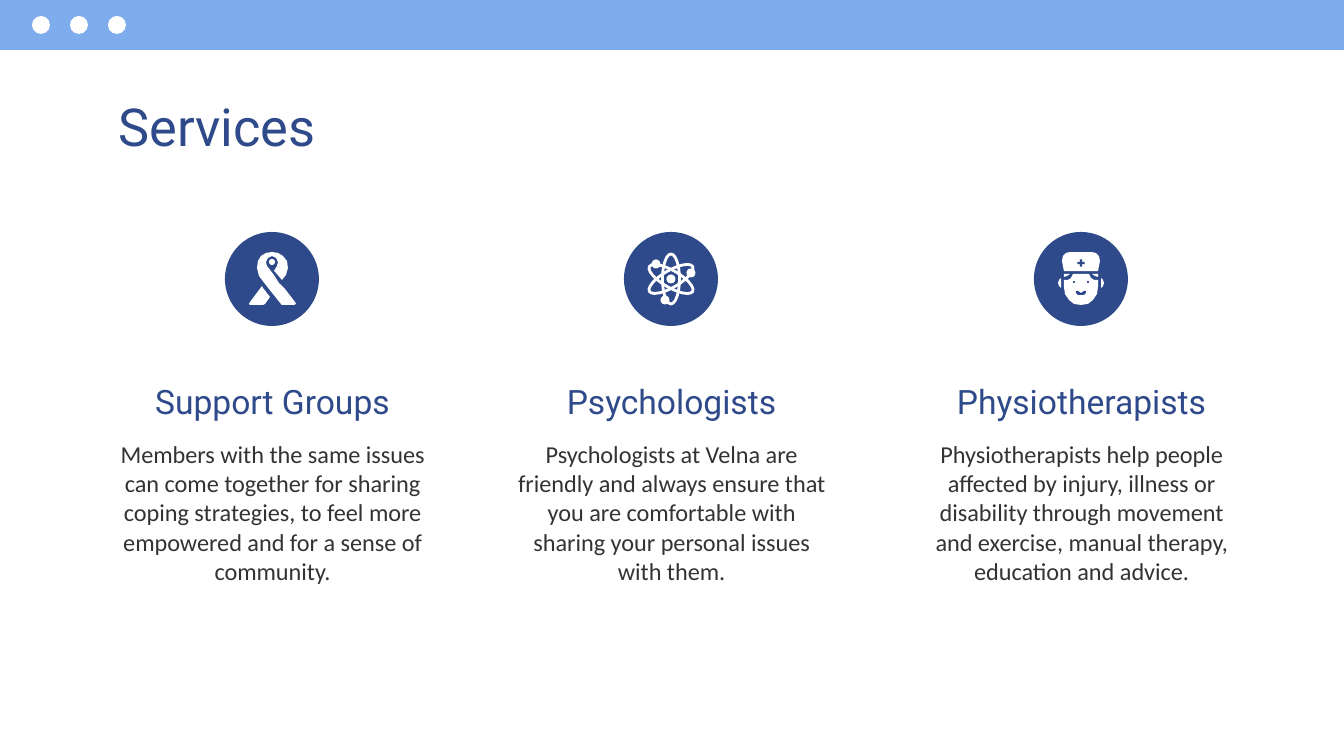
import pptx
import pptx.dml.color
import pptx.enum.shapes
import pptx.enum.text
import pptx.util

PX = 9144000 / 1344  # EMU in one px
SLIDE_WIDTH, SLIDE_HEIGHT = 1344, 756

SKY = pptx.dml.color.RGBColor(0x7E, 0xAC, 0xEC)
NAVY = pptx.dml.color.RGBColor(0x2F, 0x4A, 0x8A)
INK = pptx.dml.color.RGBColor(0x33, 0x33, 0x33)
WHITE = pptx.dml.color.RGBColor(0xFF, 0xFF, 0xFF)

PRESET = pptx.enum.shapes.MSO_SHAPE
ALIGN = pptx.enum.text.PP_ALIGN
COLUMN_WIDTH = 335
BADGE_SIZE, BADGE_Y = 94, 279

# Icon outlines are in px from the middle of the badge.
RIBBON_TAIL = [(-10, 7), (-22, 23), (-23, 25), (-22, 26), (-9, 26), (-7, 25),
               (-2, 18), (-9, 9)]
RIBBON_LOOP = [(0, -27), (-6, -26), (-11, -23), (-14, -18), (-15, -11),
               (-13, -3), (-7, 5), (9, 25), (10, 26), (22, 26), (24, 25),
               (23, 23), (13, 10), (7, 4), (2, -4), (-5, -13), (-6, -17),
               (-4, -21), (0, -23), (4, -21), (6, -17), (5, -13), (2, -8),
               (4, -6), (10, 1), (14, -4), (16, -11), (15, -18), (11, -23),
               (6, -26)]
CAP_HALF = [(-11, -27), (-15, -26), (-18, -23), (-19, -18), (-17, -8)]
FACE_HALF = [(-8, -5), (-10, -1), (-13, 1), (-17, 1), (-17, 8), (-16, 15),
             (-12, 21), (-7, 25), (0, 26)]
MOUTH_HALF = [(0, 14), (-3, 12), (-5, 12), (-5, 14), (-3, 16)]
HAIR = [(-17, -5), (-17, -2), (-14, -3), (-11, -5)]
EAR = [(-20, -1), (-22, 1), (-23, 4), (-22, 7), (-20, 9)]


def emu(px):
    return pptx.util.Emu(round(px * PX))


def paint(shape, color):
    shape.shadow.inherit = False
    shape.fill.solid()
    shape.fill.fore_color.rgb = color
    shape.line.fill.background()


def add_preset(slide, kind, center_x, center_y, width, height, color):
    """Add a filled preset shape placed by its middle."""
    shape = slide.shapes.add_shape(
        kind, emu(center_x - width / 2), emu(center_y - height / 2),
        emu(width), emu(height))
    paint(shape, color)
    return shape


def add_disc(slide, center_x, center_y, size, color):
    return add_preset(slide, PRESET.OVAL, center_x, center_y, size, size, color)


def add_outline(slide, center_x, points, color):
    """Add a closed polygon given in px from the middle of a badge."""
    corners = [(center_x + x, BADGE_Y + y) for x, y in points]
    builder = slide.shapes.build_freeform(*corners[0], scale=PX)
    builder.add_line_segments(corners[1:], close=True)
    paint(builder.convert_to_shape(), color)


def mirror(points):
    return [(-x, y) for x, y in points]


def symmetric(half):
    return half + mirror(half)[::-1]


def write_text(box, text, font, size, color, align):
    frame = box.text_frame
    frame.text = text
    frame.word_wrap = True
    frame.auto_size = pptx.enum.text.MSO_AUTO_SIZE.NONE
    frame.vertical_anchor = pptx.enum.text.MSO_ANCHOR.TOP
    frame.margin_left = frame.margin_right = pptx.util.Inches(0.1)
    frame.margin_top = frame.margin_bottom = pptx.util.Inches(0.1)
    para = frame.paragraphs[0]
    para.alignment = align
    para.line_spacing = 1.0
    para.space_before = pptx.util.Pt(0)
    span = para.runs[0]
    span.font.name = font
    span.font.size = pptx.util.Pt(size)
    span.font.color.rgb = color


def add_title(slide, text):
    title = slide.shapes.title
    title.left, title.top = emu(105), emu(81)
    title.width, title.height = emu(1134), emu(69)
    write_text(title, text, "Roboto", 28, NAVY, ALIGN.LEFT)


def add_window_bar(slide):
    add_preset(slide, PRESET.RECTANGLE, SLIDE_WIDTH / 2, 25, SLIDE_WIDTH, 50, SKY)
    for index in range(3):
        add_disc(slide, 41 + 38 * index, 25, 18, WHITE)


def draw_ribbon(slide, center_x):
    add_outline(slide, center_x, RIBBON_TAIL, WHITE)
    add_outline(slide, center_x, RIBBON_LOOP, WHITE)
    add_disc(slide, center_x, BADGE_Y - 17, 6, WHITE)


def draw_atom(slide, center_x):
    for angle in (0, 60, 120):
        orbit = add_preset(slide, PRESET.OVAL, center_x, BADGE_Y, 17, 50, WHITE)
        orbit.fill.background()
        orbit.line.color.rgb = WHITE
        orbit.line.width = pptx.util.Pt(1.5)
        orbit.rotation = angle
    add_disc(slide, center_x, BADGE_Y, 9, WHITE)
    for x, y in [(-15, -15), (20, -6), (-6, 21)]:
        add_disc(slide, center_x + x, BADGE_Y + y, 9, WHITE)


def draw_nurse(slide, center_x):
    for half in (CAP_HALF, FACE_HALF):
        add_outline(slide, center_x, symmetric(half), WHITE)
    for side in (HAIR, EAR):
        add_outline(slide, center_x, side, WHITE)
        add_outline(slide, center_x, mirror(side), WHITE)
    add_preset(slide, PRESET.MATH_PLUS, center_x, BADGE_Y - 16, 10, 10, NAVY)
    for x in (-7, 7):
        add_disc(slide, center_x + x, BADGE_Y + 3, 2, NAVY)
    add_outline(slide, center_x, symmetric(MOUTH_HALF), NAVY)


def add_service(slide, left, heading, description, draw_icon):
    for text, top, height, font, size, color in [
            (heading, 368, 69, "Roboto", 18, NAVY),
            (description, 426, 113, "Calibri", 13, INK)]:
        box = slide.shapes.add_textbox(
            emu(left), emu(top), emu(COLUMN_WIDTH), emu(height))
        write_text(box, text, font, size, color, ALIGN.CENTER)
    center_x = left + COLUMN_WIDTH // 2
    add_disc(slide, center_x, BADGE_Y, BADGE_SIZE, NAVY)
    draw_icon(slide, center_x)


def main():
    deck = pptx.Presentation()
    deck.slide_width, deck.slide_height = emu(SLIDE_WIDTH), emu(SLIDE_HEIGHT)
    slide = deck.slides.add_slide(deck.slide_layouts.get_by_name("Title Only"))
    add_window_bar(slide)
    add_title(slide, "Services")
    add_service(slide, 105, "Support Groups",
                "Members with the same issues can come together for sharing "
                "coping strategies, to feel more empowered and for a sense of "
                "community.", draw_ribbon)
    add_service(slide, 504, "Psychologists",
                "Psychologists at Velna are friendly and always ensure that "
                "you are comfortable with sharing your personal issues with "
                "them.", draw_atom)
    add_service(slide, 914, "Physiotherapists",
                "Physiotherapists help people affected by injury, illness or "
                "disability through movement and exercise, manual therapy, "
                "education and advice.", draw_nurse)
    deck.save("out.pptx")


if __name__ == "__main__":
    main()
